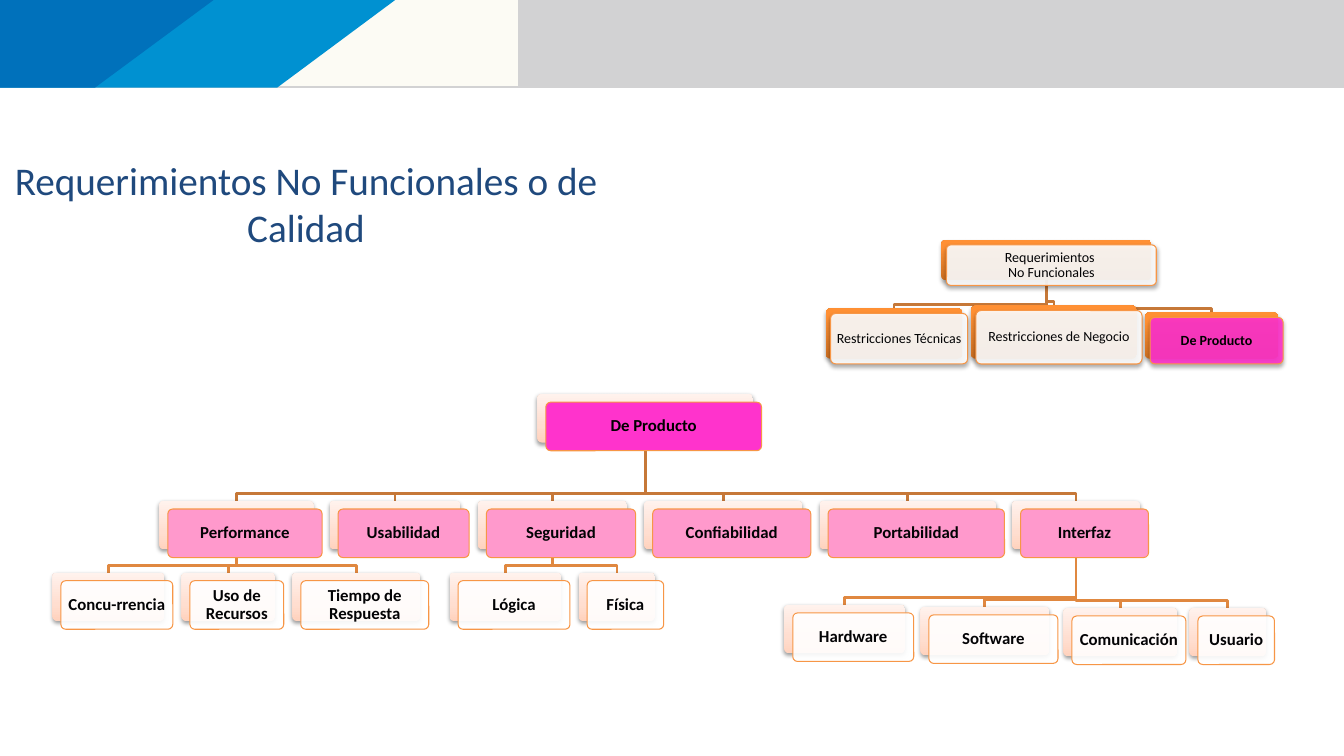
import copy
from dataclasses import dataclass

import pptx
import pptx.dml.color
import pptx.enum.shapes
import pptx.enum.text
import pptx.oxml
import pptx.oxml.ns
import pptx.util

Pt = pptx.util.Pt

BAND_HEIGHT = 62.6
HEADER_BANDS = [
    ("D2D2D3", [(0, 0), (960, 0), (960, BAND_HEIGHT), (0, BAND_HEIGHT)]),
    ("FCFBF4", [(0, -1.2), (370, -1.2), (370, 61.7), (0, 61.7)]),
    ("0091D1", [(0, 0), (282.3, 0), (198, BAND_HEIGHT), (0, BAND_HEIGHT)]),
    ("0071BB", [(0, 0), (152.6, 0), (67.9, BAND_HEIGHT), (0, BAND_HEIGHT)]),
]

MAIN = {
    "plate": [(0, "FFD2BD"), (0.35, "FFDED0"), (1, "FFF2ED")],
    "shadow": (1.6, 38), "card_shadow": False, "offset": (6.1, 5.8),
    "bus_gap": 5, "inset": 3.6, "size": 12, "bold": True,
    "ink": "030305", "link": "C67838", "card": "FF99CC", "opacity": 100,
}
ROOT = {**MAIN, "card": "FF33CC", "ink": "000000"}
LEAF = {**MAIN, "card": "FFFFFF", "opacity": 90, "link": "E08840"}
CONTEXT = {
    **LEAF,
    "plate": [(0, "CC6E20"), (0.8, "FF9034"), (1, "FF9136")],
    "shadow": (1.8, 35), "card_shadow": True, "offset": (3.6, 3.6),
    "bus_gap": 2.9, "inset": 2.9, "size": 10, "bold": False, "link": "C67838",
}
CURRENT = {**CONTEXT, "card": "FF33CC", "ink": "000000", "bold": True}


@dataclass
class Node:
    label: str
    left: float
    top: float
    width: float
    look: dict
    branches: tuple = ()
    height: float = 34.7

    @property
    def center(self):
        return self.left + self.width / 2


def category(label, left, width, *branches):
    return Node(label, left, 357.8, width, MAIN, branches)


def leaf(label, left, width, top=409):
    return Node(label, left, top, width, LEAF)


PRODUCT_TREE = Node("De Producto", 383.8, 281.5, 154.1, ROOT, (
    category("Performance", 113.8, 110.2,
             leaf("Concu-rrencia", 37.4, 79.9),
             leaf("Uso de Recursos", 129.6, 67),
             leaf("Tiempo de Respuesta", 208.8, 91.4)),
    category("Usabilidad", 235.4, 93.6),
    category("Seguridad", 341.3, 106.6,
             leaf("Lógica", 321.1, 79.9),
             leaf("Física", 413.3, 54.7)),
    category("Confiabilidad", 460.1, 113),
    category("Portabilidad", 585.4, 126),
    category("Interfaz", 722.9, 91.4,
             leaf("Hardware", 560.2, 86.4, 432),
             leaf("Software", 657.4, 92.2, 433.4),
             leaf("Comunicación", 759.6, 81.4, 434.2),
             leaf("Usuario", 849.6, 54.7, 434.2)),
))

CONTEXT_TREE = Node("Requerimientos \vNo Funcionales", 672.5, 171.4, 149.8, CONTEXT, (
    Node("Restricciones Técnicas", 589.7, 220.3, 97.9, CONTEXT, height=36),
    Node("Restricciones de Negocio", 693.4, 218.2, 118.8, CONTEXT, height=38.2),
    Node("De Producto", 817.9, 223.2, 95, CURRENT, height=33.1),
), height=28.8)


def color(code):
    return pptx.dml.color.RGBColor.from_string(code)


def set_formats(target, formats):
    for name, value in formats.items():
        setattr(target, name, value)


def paint(shape, code, opacity=100):
    shape.fill.solid()
    shape.fill.fore_color.rgb = color(code)
    if opacity < 100:
        tint = shape.fill._xPr.find(".//" + pptx.oxml.ns.qn("a:srgbClr"))
        tint.append(pptx.oxml.parse_xml(
            f'<a:alpha {pptx.oxml.ns.nsdecls("a")} val="{opacity * 1000}"/>'))


def paint_gradient(shape, stops):
    shape.fill.gradient()
    shape.fill.gradient_angle = 90
    stop_list = shape._element.spPr.find(".//" + pptx.oxml.ns.qn("a:gsLst"))
    while len(stop_list) < len(stops):
        stop_list.append(copy.deepcopy(stop_list[0]))
    for stop, (position, code) in zip(shape.fill.gradient_stops, stops):
        stop.position = position
        stop.color.rgb = color(code)


def cast_shadow(shape, distance, opacity):
    effects = shape._element.spPr.find(pptx.oxml.ns.qn("a:effectLst"))
    effects.append(pptx.oxml.parse_xml(
        f'<a:outerShdw {pptx.oxml.ns.nsdecls("a")} blurRad="{Pt(3.1)}" '
        f'dist="{Pt(distance)}" dir="5400000" rotWithShape="0">'
        f'<a:srgbClr val="000000"><a:alpha val="{opacity * 1000}"/></a:srgbClr>'
        '</a:outerShdw>'))


def add_outline(slide, points, closed):
    corners = [(Pt(x), Pt(y)) for x, y in points]
    builder = slide.shapes.build_freeform(*corners[0])
    builder.add_line_segments(corners[1:], close=closed)
    outline = builder.convert_to_shape()
    outline.shadow.inherit = False
    return outline


def add_band(slide, code, points):
    band = add_outline(slide, points, True)
    paint(band, code)
    band.line.fill.background()


def add_link(slide, parent, child):
    bus = child.top - child.look["bus_gap"]
    link = add_outline(slide, [
        (parent.center, parent.top + parent.height), (parent.center, bus),
        (child.center, bus), (child.center, child.top)], False)
    link.fill.background()
    link.line.color.rgb = color(child.look["link"])
    link.line.width = Pt(2)


def add_rounded(slide, node, dx=0, dy=0):
    box = slide.shapes.add_shape(
        pptx.enum.shapes.MSO_SHAPE.ROUNDED_RECTANGLE,
        Pt(node.left + dx), Pt(node.top + dy), Pt(node.width), Pt(node.height))
    box.adjustments[0] = 0.1
    box.shadow.inherit = False
    return box


def write(frame, text, inset, font):
    frame.text = text
    set_formats(frame, {
        "word_wrap": True,
        "auto_size": pptx.enum.text.MSO_AUTO_SIZE.NONE,
        "vertical_anchor": pptx.enum.text.MSO_ANCHOR.MIDDLE,
        "margin_left": Pt(inset), "margin_right": Pt(inset),
        "margin_top": Pt(inset), "margin_bottom": Pt(inset),
    })
    paragraph = frame.paragraphs[0]
    paragraph.alignment = pptx.enum.text.PP_ALIGN.CENTER
    for run in paragraph.runs:
        set_formats(run.font, {"name": "Calibri", "size": Pt(font["size"]), "bold": font["bold"]})
        run.font.color.rgb = color(font["ink"])
    return paragraph


def add_node(slide, node):
    look = node.look
    plate = add_rounded(slide, node)
    paint_gradient(plate, look["plate"])
    plate.line.fill.background()
    cast_shadow(plate, *look["shadow"])
    card = add_rounded(slide, node, *look["offset"])
    paint(card, look["card"], look["opacity"])
    card.line.color.rgb = color("F79646")
    card.line.width = Pt(0.75)
    if look["card_shadow"]:
        cast_shadow(card, *look["shadow"])
    write(card.text_frame, node.label, look["inset"], look).line_spacing = 0.9


def add_links(slide, node):
    for child in node.branches:
        add_links(slide, child)
        add_link(slide, node, child)


def add_nodes(slide, node):
    add_node(slide, node)
    for child in node.branches:
        add_nodes(slide, child)


def add_title(slide, text):
    title = slide.shapes.title
    set_formats(title, {"left": Pt(-30.2), "top": Pt(100), "width": Pt(497.5), "height": Pt(90)})
    write(title.text_frame, text, 9, {"size": 28, "bold": False, "ink": "1F497D"})


def main():
    deck = pptx.Presentation()
    set_formats(deck, {"slide_width": Pt(960), "slide_height": Pt(540)})
    slide = deck.slides.add_slide(deck.slide_layouts[5])
    for code, points in HEADER_BANDS:
        add_band(slide, code, points)
    add_title(slide, "Requerimientos No Funcionales o de Calidad")
    for tree in (PRODUCT_TREE, CONTEXT_TREE):
        add_links(slide, tree)
        add_nodes(slide, tree)
    deck.save("out.pptx")


if __name__ == "__main__":
    main()
